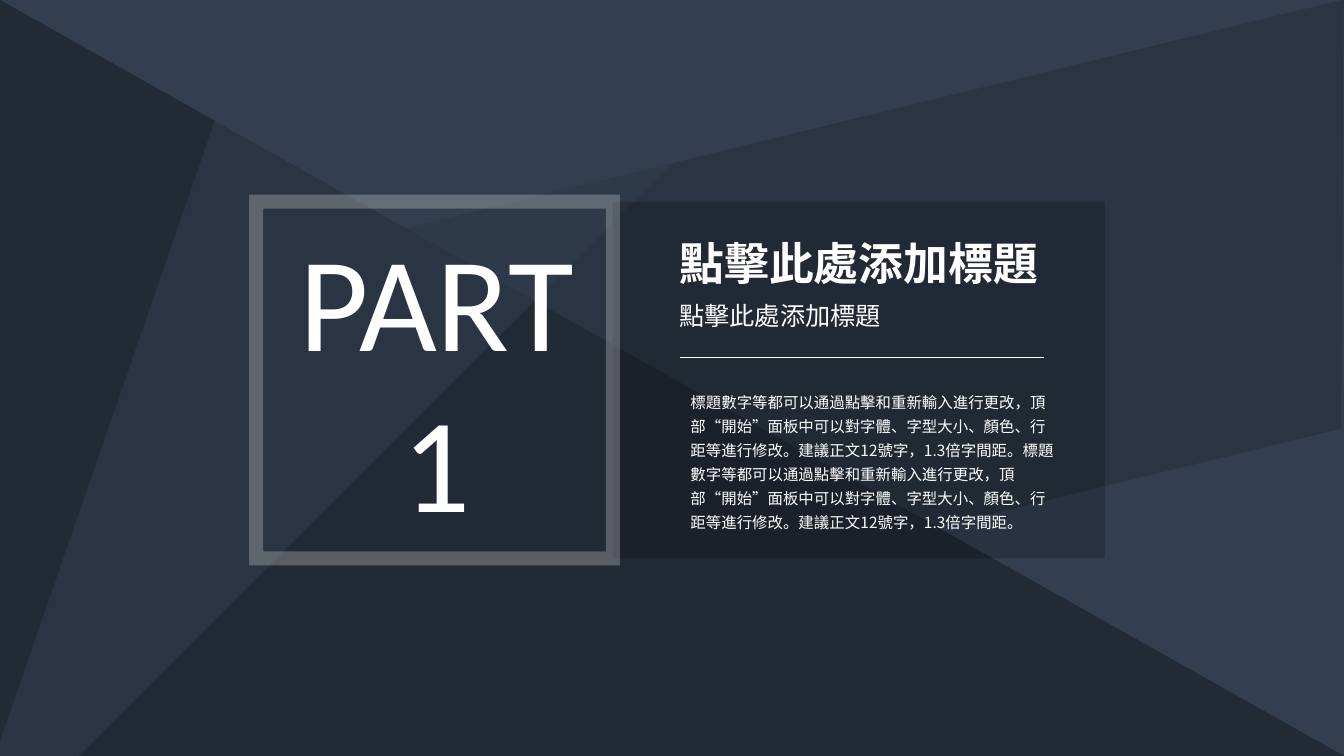
from dataclasses import dataclass
from typing import Optional

from lxml.etree import SubElement
from pptx import Presentation
from pptx.dml.color import RGBColor
from pptx.enum.shapes import MSO_CONNECTOR, MSO_SHAPE
from pptx.enum.text import MSO_ANCHOR, MSO_AUTO_SIZE, PP_ALIGN
from pptx.oxml.ns import qn
from pptx.util import Pt

COLORS = {
    "back": "333F50",
    "facet": "222A35",
    "panel": "000000",
    "frame": "D9D9D9",
    "text": "FFFFFF",
}
CJK = "Noto Sans CJK SC"
HEADING = "點擊此處添加標題"
ADVICE = (
    "標題數字等都可以通過點擊和重新輸入進行更改，頂部“開始”面板中可以對字體、"
    "字型大小、顏色、行距等進行修改。建議正文12號字，1.3倍字間距。"
)


@dataclass
class Block:
    """A filled shape; lengths in points, opacity in percent."""
    kind: MSO_SHAPE
    left: float
    top: float
    width: float
    height: float
    color: str
    opacity: int = 100
    rotation: float = 0
    adjust: Optional[float] = None


@dataclass
class Label:
    """A text area; lengths in points."""
    left: float
    top: float
    width: float
    height: float
    lines: list[str]
    size: float
    font: str = CJK
    bold: bool = False
    align: PP_ALIGN = PP_ALIGN.LEFT
    spacing: float = 1.0


BLOCKS = [
    Block(MSO_SHAPE.ISOSCELES_TRIANGLE, 0, 0, 960, 540, "facet", adjust=0),
    Block(MSO_SHAPE.PARALLELOGRAM, -51.1, 121, 1061.3, 297.4, "facet", 50, 346.3),
    Block(MSO_SHAPE.ISOSCELES_TRIANGLE, 85, -83.5, 389.5, 800.6, "back", 50, 199.1, 1),
    Block(MSO_SHAPE.RECTANGLE, 437.8, 144, 351.4, 254.9, "panel", 20),
]
PART = Label(198, 151.2, 228.2, 239.8, ["PART", "1"], 96, "Calibri", align=PP_ALIGN.CENTER)
TITLE = Label(478.1, 164.9, 271, 46.1, [HEADING], 32, bold=True)
SUBTITLE = Label(478.1, 211, 271, 29, [HEADING], 18)
BODY = Label(486, 272.9, 275, 110.9, [ADVICE * 2], 11, spacing=1.3)


def rgb(name: str) -> RGBColor:
    return RGBColor.from_string(COLORS[name])


def set_opacity(sp, percent: int) -> None:
    """Make the only explicit colour of a shape translucent."""
    color = next(sp.element.spPr.iter(qn("a:srgbClr")))
    SubElement(color, qn("a:alpha")).set("val", str(percent * 1000))


def add_block(shapes, b: Block) -> None:
    sp = shapes.add_shape(b.kind, Pt(b.left), Pt(b.top), Pt(b.width), Pt(b.height))
    sp.shadow.inherit = False
    sp.rotation = b.rotation
    if b.adjust is not None:
        sp.adjustments[0] = b.adjust
    sp.fill.solid()
    sp.fill.fore_color.rgb = rgb(b.color)
    sp.line.fill.background()
    if b.opacity < 100:
        set_opacity(sp, b.opacity)


def add_frame(shapes, left: float, top: float, side: float) -> None:
    sp = shapes.add_shape(MSO_SHAPE.RECTANGLE, Pt(left), Pt(top), Pt(side), Pt(side))
    sp.shadow.inherit = False
    sp.fill.background()
    sp.line.width = Pt(10)
    sp.line.color.rgb = rgb("frame")
    set_opacity(sp, 30)
    # Square corners
    ln = sp.element.spPr.find(qn("a:ln"))
    SubElement(ln, qn("a:miter")).set("lim", "800000")


def add_rule(shapes, left: float, right: float, y: float) -> None:
    line = shapes.add_connector(MSO_CONNECTOR.STRAIGHT, Pt(left), Pt(y), Pt(right), Pt(y))
    line.line.color.rgb = rgb("text")
    line.line.width = Pt(0.5)
    SubElement(line.element.spPr, qn("a:effectLst"))


def write_label(sp, t: Label) -> None:
    """Place a text box or placeholder and fill it."""
    sp.left, sp.top, sp.width, sp.height = Pt(t.left), Pt(t.top), Pt(t.width), Pt(t.height)
    tf = sp.text_frame
    tf.word_wrap = True
    tf.auto_size = MSO_AUTO_SIZE.SHAPE_TO_FIT_TEXT
    tf.vertical_anchor = MSO_ANCHOR.TOP
    tf.text = "\n".join(t.lines)
    for p in tf.paragraphs:
        p.alignment = t.align
        p.line_spacing = t.spacing
        p.space_before = Pt(0)
        p.font.size = Pt(t.size)
        p.font.bold = t.bold
        p.font.color.rgb = rgb("text")
        p.font.name = t.font
    # East Asian typeface
    for props in sp.element.iter(qn("a:defRPr")):
        SubElement(props, qn("a:ea")).set("typeface", t.font)


def add_label(shapes, t: Label) -> None:
    write_label(shapes.add_textbox(0, 0, 0, 0), t)


def main() -> None:
    prs = Presentation()
    prs.slide_width, prs.slide_height = Pt(960), Pt(540)
    s = prs.slides.add_slide(prs.slide_layouts.get_by_name("Section Header"))
    s.background.fill.solid()
    s.background.fill.fore_color.rgb = rgb("back")
    title, body = s.placeholders

    # Background facets and panel
    for block in BLOCKS:
        add_block(s.shapes, block)

    # Part number in its frame
    add_frame(s.shapes, 182.9, 144, 254.9)
    add_label(s.shapes, PART)

    # Headings, rule and description
    write_label(title, TITLE)
    add_label(s.shapes, SUBTITLE)
    add_rule(s.shapes, 486, 745.9, 255.6)
    write_label(body, BODY)

    # Bring the placeholders in front of the panel
    for sp in (title, body):
        sp.element.getparent().append(sp.element)

    prs.save("out.pptx")


if __name__ == "__main__":
    main()
